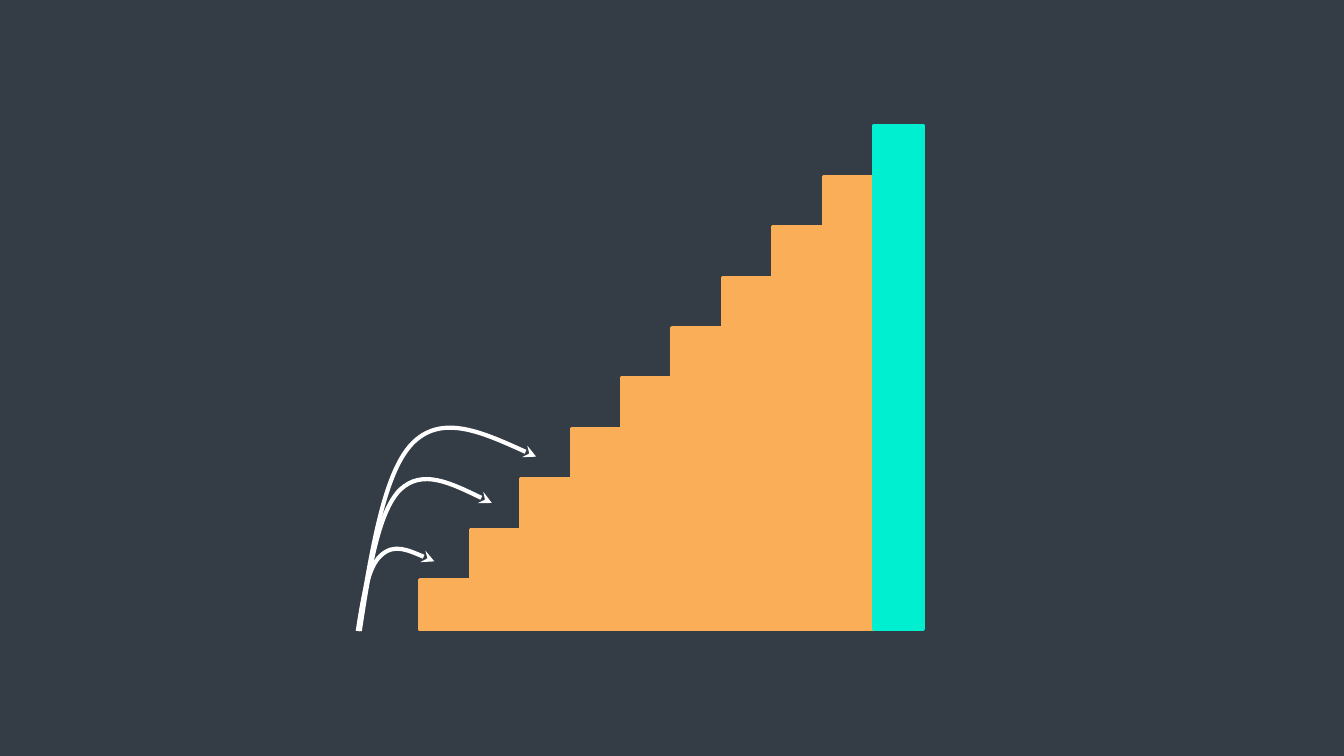
from lxml.etree import SubElement
from pptx import Presentation
from pptx.dml.color import RGBColor
from pptx.enum.shapes import MSO_SHAPE as Preset
from pptx.oxml.ns import qn
from pptx.util import Pt

# Content: lengths in points
BACKGROUND, STAIR, WALL, ARROW = "343D46", "F9AE57", "00EFD1", "FFFFFF"
STEP_COUNT, STEP_SIZE = 9, 36
STAIR_LEFT, FLOOR = 300, 450

# Each jump: top of its arc, then start and two joined Bezier segments
JUMPS = [
    (392.4, [(255.6, 450.7), (259.2, 427.7), (262.8, 404.6), (272.2, 396.7),
             (281.5, 388.1), (295.9, 394.6), (310.3, 401)]),
    (342.7, [(257, 450.7), (263.5, 408.2), (270, 365.8), (285.8, 349.9),
             (301.7, 334.8), (326.2, 347), (351.4, 359.3)]),
    (306, [(257, 443.5), (266.4, 388.8), (275, 334.8), (295.9, 315.4),
           (316.8, 295.9), (349.9, 311), (383, 326.2)]),
]


def color(hex_string):
    return RGBColor.from_string(hex_string)


def add_column(slide, index, fill):
    height = (index + 1) * STEP_SIZE
    column = slide.shapes.add_shape(
        Preset.RECTANGLE, Pt(STAIR_LEFT + index * STEP_SIZE),
        Pt(FLOOR - height), Pt(STEP_SIZE), Pt(height))
    column.shadow.inherit = False
    column.fill.solid()
    column.fill.fore_color.rgb = color(fill)
    column.line.color.rgb = color(fill)
    column.line.width = Pt(2.25)


def add_jump(group, top, points):
    # The outline spans the visible arc; its segments then become curves
    left, bottom = points[0]
    right, end = points[-1]
    builder = group.shapes.build_freeform(Pt(left), Pt(bottom), scale=1.0)
    builder.add_line_segments([(Pt(right), Pt(top)), (Pt(right), Pt(end))],
                              close=False)
    jump = builder.convert_to_shape()
    outline = jump.element.spPr.find(".//" + qn("a:path"))
    for segment in outline.findall(qn("a:lnTo")):
        outline.remove(segment)
    for first in range(1, len(points), 3):
        curve = SubElement(outline, qn("a:cubicBezTo"))
        for x, y in points[first:first + 3]:
            SubElement(curve, qn("a:pt"), x=str(Pt(x - left)),
                       y=str(Pt(y - top)))

    jump.shadow.inherit = False
    jump.fill.background()
    jump.line.color.rgb = color(ARROW)
    jump.line.width = Pt(3)
    SubElement(jump.element.spPr.find(qn("a:ln")), qn("a:tailEnd"),
               type="stealth")


def main():
    presentation = Presentation()
    presentation.slide_width, presentation.slide_height = Pt(960), Pt(540)
    slide = presentation.slides.add_slide(presentation.slide_layouts[6])
    slide.background.fill.solid()
    slide.background.fill.fore_color.rgb = color(BACKGROUND)

    # Staircase from the highest step down, then the wall beside it
    for index in reversed(range(STEP_COUNT)):
        add_column(slide, index, STAIR)
    add_column(slide, STEP_COUNT, WALL)

    # Jumps onto the first steps
    jumps = slide.shapes.add_group_shape()
    for top, points in JUMPS:
        add_jump(jumps, top, points)

    presentation.save("out.pptx")


if __name__ == "__main__":
    main()
